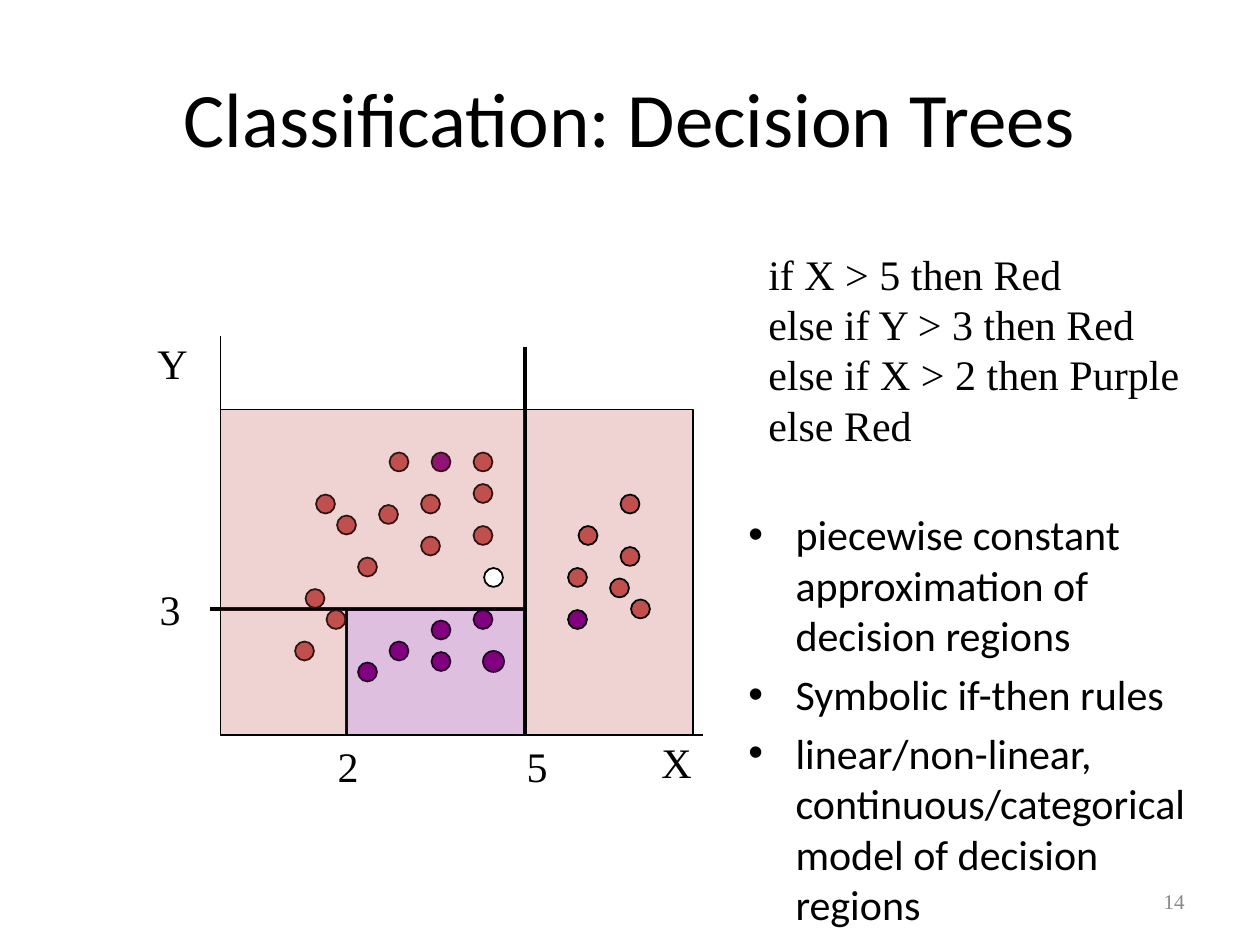
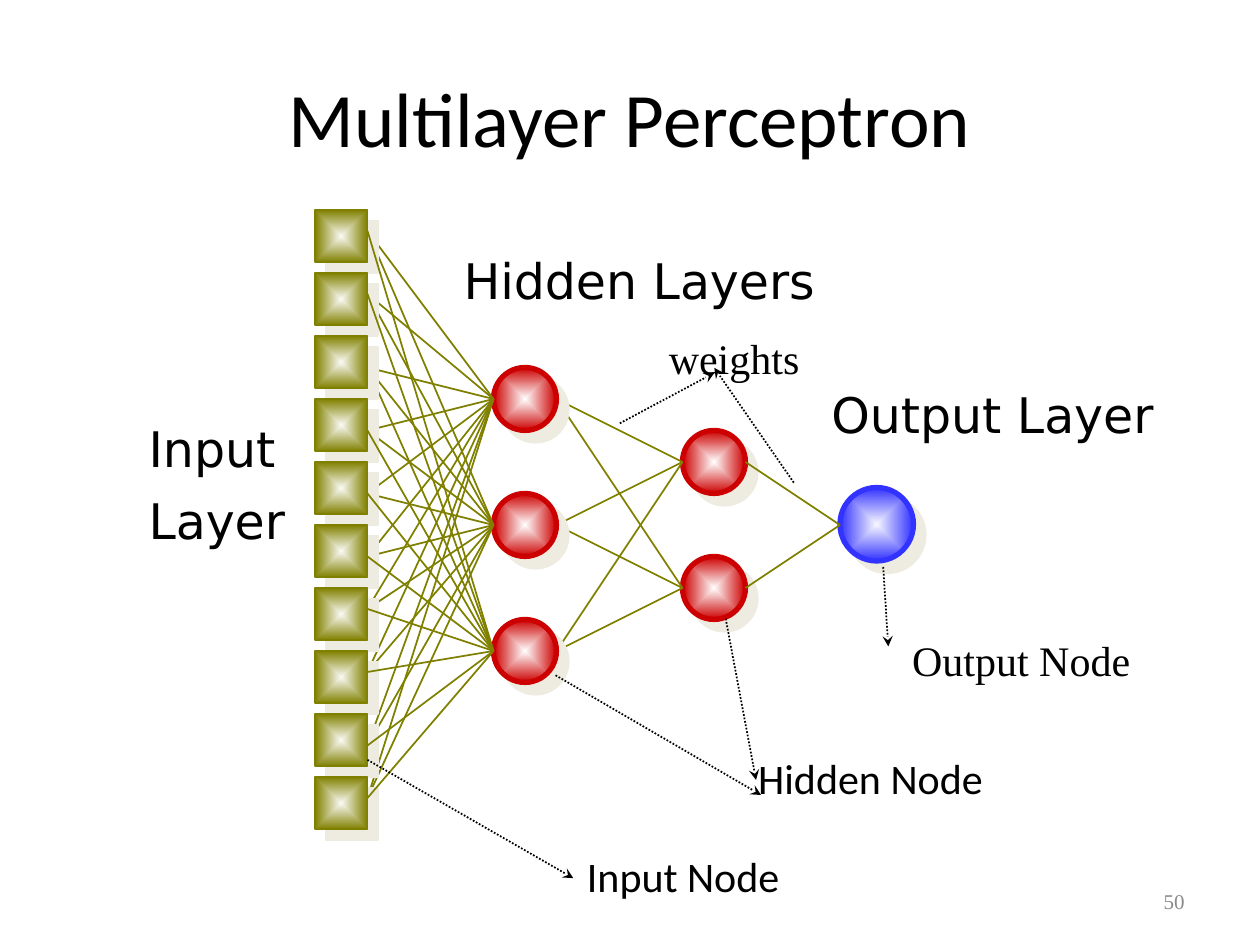
from dataclasses import dataclass
from itertools import product

from pptx import Presentation
from pptx.dml.color import RGBColor
from pptx.enum.dml import MSO_LINE
from pptx.enum.shapes import MSO_CONNECTOR, MSO_SHAPE
from pptx.enum.text import MSO_ANCHOR, PP_ALIGN
from pptx.oxml import parse_xml
from pptx.oxml.ns import nsdecls, qn
from pptx.util import Pt

RECT, OVAL = MSO_SHAPE.RECTANGLE, MSO_SHAPE.OVAL
STRAIGHT = MSO_CONNECTOR.STRAIGHT
DOTTED = MSO_LINE.ROUND_DOT
LEFT, CENTER, RIGHT = PP_ALIGN.LEFT, PP_ALIGN.CENTER, PP_ALIGN.RIGHT
TOP, MIDDLE = MSO_ANCHOR.TOP, MSO_ANCHOR.MIDDLE


@dataclass(frozen=True)
class Theme:
    ink: str = "000000"
    muted: str = "898989"
    white: str = "FFFFFF"
    red: str = "C0504D"
    purple: str = "800080"
    olive: str = "808000"
    olive_glow: str = "FAFAF5"
    hidden: str = "CC0000"
    output: str = "3333FF"
    output_glow: str = "F7F7FF"
    shadow: str = "EEECE1"
    sans: str = "Calibri"
    wide: str = "DejaVu Sans"
    serif: str = "Times New Roman"
    title: int = 44
    layer: int = 28
    body: int = 24
    number: int = 12


THEME = Theme()
GRID = 6
DOT = 10.8

LEFT_RED = [(10, 16), (12, 18), (16, 17), (20, 16), (9, 25), (25, 12), (14, 22),
            (20, 20), (25, 19), (11, 27), (8, 30), (17, 12), (25, 15)]
RIGHT_RED = [(39, 16), (35, 19), (34, 23), (38, 24), (40, 26), (39, 21)]
PURPLE = [(14, 32), (17, 30), (21, 31), (21, 28), (25, 27), (21, 12), (34, 27)]

RULES = "if X > 5 then Red\nelse if Y > 3 then Red\nelse if X > 2 then Purple\nelse Red"
REMARKS = ("piecewise constant approximation of decision regions\n"
           "Symbolic if-then rules\n"
           "linear/non-linear, continuous/categorical model of decision regions")


def rgb(color):
    return RGBColor.from_string(color)


def write(slide, text, box, size=THEME.body, font=THEME.sans, color=THEME.ink,
          align=LEFT, anchor=TOP, wrap=True, space=0, spacing=None, bullet=None):
    frame = slide.shapes.add_textbox(*map(Pt, box)).text_frame
    frame.word_wrap = wrap
    frame.vertical_anchor = anchor
    for index, line in enumerate(text.split("\n")):
        paragraph = frame.add_paragraph() if index else frame.paragraphs[0]
        paragraph.text = line
        paragraph.alignment = align
        if index and space:
            paragraph.space_before = Pt(space)
        if spacing:
            paragraph.line_spacing = spacing
        if bullet:
            properties = paragraph._p.get_or_add_pPr()
            properties.set("marL", str(Pt(27)))
            properties.set("indent", str(-Pt(27)))
            properties.append(parse_xml(f'<a:buFont {nsdecls("a")} typeface="Arial"/>'))
            properties.append(parse_xml(f'<a:buChar {nsdecls("a")} char="{bullet}"/>'))
        paragraph.font.size = Pt(size)
        paragraph.font.name = font
        paragraph.font.color.rgb = rgb(color)


def draw_shape(slide, kind, box, color, outline=THEME.ink, weight=1, alpha=None):
    shape = slide.shapes.add_shape(kind, *map(Pt, box))
    shape.shadow.inherit = False
    shape.fill.solid()
    shape.fill.fore_color.rgb = rgb(color)
    shape.line.color.rgb = rgb(outline)
    shape.line.width = Pt(weight)
    if alpha:
        tint = shape.element.spPr.find(qn("a:solidFill"))[0]
        tint.append(parse_xml(f'<a:alpha {nsdecls("a")} val="{alpha * 1000}"/>'))
    return shape


def draw_node(slide, kind, box, glow, color, weight):
    properties = draw_shape(slide, kind, box, color, color, weight).element.spPr
    properties.replace(properties.find(qn("a:solidFill")), parse_xml(
        f'<a:gradFill {nsdecls("a")} rotWithShape="1"><a:gsLst>'
        f'<a:gs pos="0"><a:srgbClr val="{glow}"/></a:gs>'
        f'<a:gs pos="100000"><a:srgbClr val="{color}"/></a:gs></a:gsLst>'
        '<a:path path="shape"><a:fillToRect l="50000" t="50000" r="50000" b="50000"/>'
        '</a:path></a:gradFill>'))
    properties.find(qn("a:effectLst")).append(parse_xml(
        f'<a:outerShdw {nsdecls("a")} blurRad="0" dist="{Pt(8.5)}" dir="2700000" '
        f'algn="ctr" rotWithShape="0"><a:srgbClr val="{THEME.shadow}"/></a:outerShdw>'))


def draw_line(slide, start, end, color=THEME.ink, weight=1, pointer=False):
    line = slide.shapes.add_connector(STRAIGHT, *map(Pt, (*start, *end)))
    line.line.color.rgb = rgb(color)
    line.line.width = Pt(weight)
    properties = line.element.spPr
    if pointer:
        line.line.dash_style = DOTTED
        properties.find(qn("a:ln")).append(
            parse_xml(f'<a:tailEnd {nsdecls("a")} type="stealth"/>'))
    properties.append(parse_xml(f'<a:effectLst {nsdecls("a")}/>'))


def add_base(deck, title, number):
    slide = deck.slides.add_slide(deck.slide_layouts[6])
    write(slide, title, (36, 21.6, 648, 90), size=THEME.title, align=CENTER, anchor=MIDDLE)
    write(slide, number, (516, 500.4, 168, 28.8), size=THEME.number, font=THEME.serif,
          color=THEME.muted, align=RIGHT, anchor=MIDDLE)
    return slide


def add_region_plot(slide, left, top):
    def at(column, row):
        return left + column * GRID, top + row * GRID

    def dots(cells, color, size=DOT):
        for cell in cells:
            x, y = at(*cell)
            draw_shape(slide, OVAL, (x - size / 2, y - size / 2, size, size), color)

    def region(column, row, columns, rows, color):
        box = (*at(column, row), columns * GRID, rows * GRID)
        draw_shape(slide, RECT, box, color, weight=0.75, alpha=25)

    region(29, 7, 16, 31, THEME.red)
    for end in ((0, 0), (46, 38)):
        draw_line(slide, at(0, 38), at(*end))
    dots(LEFT_RED + RIGHT_RED, THEME.red)
    dots(PURPLE, THEME.purple)
    dots([(26, 31)], THEME.purple, 12)
    for start, end in (((29, 1), (29, 38)), ((29, 26), (-1, 26)), ((12, 26), (12, 38))):
        draw_line(slide, at(*start), at(*end), weight=2)
    region(0, 7, 29, 19, THEME.red)
    region(0, 26, 12, 12, THEME.red)
    region(12, 26, 17, 12, THEME.purple)
    dots([(26, 23)], THEME.white)
    for label, x, y, width in (("X", 244.8, 225.6, 31.7), ("Y", -43.2, -2.6, 31.7),
                               ("5", 167.8, 227.8, 26.6), ("2", 59.8, 227.8, 26.6),
                               ("3", -41.8, 137.8, 26.6)):
        write(slide, label, (left + x, top + y, width, 36), font=THEME.serif, wrap=False)


def add_network(slide, left, top):
    def at(x, y):
        return left + x, top + y

    def connect(pairs):
        for start, end in pairs:
            draw_line(slide, at(*start), at(*end), THEME.olive)

    def hidden_layer(x, tops):
        for y in tops:
            draw_node(slide, OVAL, (*at(x, y), 36, 36), THEME.white, THEME.hidden, 3)

    first_tops = [90 + 72 * row for row in range(3)]
    second_tops = [126 + 72 * row for row in range(2)]
    input_tops = [36 * row for row in range(10)]
    port_drops = (12, 12, 18, 18, 18, 18, 12, 12, 18, 12)
    ports = [(30, y + drop) for y, drop in zip(input_tops, port_drops)]
    first_in = [(102, y + 18) for y in first_tops]
    first_out = [(138, y + 18) for y in first_tops]
    second_in = [(210, y + 18) for y in second_tops]
    second_out = [(246, y + 18) for y in second_tops]

    hidden_layer(210, second_tops)
    connect(product(first_out, second_in))
    hidden_layer(102, first_tops)
    connect(product(ports, first_in[:2]))
    connect([(ports[2], first_in[2])])
    for y in input_tops:
        draw_node(slide, RECT, (*at(0, y), 30, 30), THEME.olive_glow, THEME.olive, 1)
    connect(product(ports[:2] + ports[3:], first_in[2:]))
    draw_node(slide, OVAL, (*at(300, 158.6), 42, 42), THEME.output_glow, THEME.output, 3)
    connect(product(second_out, [(300, 180)]))


def add_network_labels(slide, left, top):
    layers = (("Hidden Layers", 77.8, 19.7, 216, 41), ("Output Layer", 288, 96, 216, 41))
    for text, x, y, width, height in layers:
        write(slide, text, (left + x, top + y, width, height),
              size=THEME.layer, font=THEME.wide)
    write(slide, "Input\nLayer", (left - 102.2, top + 123.4, 102.2, 74.9),
          size=THEME.layer, font=THEME.wide, space=16, spacing=0.75)
    nodes = (("Hidden Node", 246.2, 306.2, 174.2, THEME.sans),
             ("Input Node", 148.3, 362.4, 174.2, THEME.sans),
             ("Output Node", 334.1, 239.3, 140.4, THEME.serif),
             ("weights", 195.1, 66.5, 89.3, THEME.serif))
    for text, x, y, width, font in nodes:
        write(slide, text, (left + x, top + y, width, 36.7), font=font,
              wrap=font == THEME.sans)
    pointers = ((234.7, 233.5, 252, 325.7), (324.7, 204, 327.6, 249.4),
                (137.5, 265.9, 254.9, 334.3), (174.2, 121.9, 228.2, 93.1),
                (273.6, 155.8, 228.2, 90.2), (30, 314.2, 147.6, 381.8))
    for x1, y1, x2, y2 in pointers:
        draw_line(slide, (left + x1, top + y1), (left + x2, top + y2), pointer=True)


def add_decision_trees(deck):
    slide = add_base(deck, "Classification: Decision Trees", "14")
    add_region_plot(slide, 126, 192)
    write(slide, RULES, (432, 138.2, 249.8, 123.8), font=THEME.serif, wrap=False)
    write(slide, REMARKS, (420.5, 287.3, 282.2, 191.5), space=4.8, bullet="•")


def add_perceptron(deck):
    slide = add_base(deck, "Multilayer Perceptron", "50")
    add_network(slide, 180, 120)
    add_network_labels(slide, 180, 120)


def main():
    deck = Presentation()
    deck.slide_width, deck.slide_height = Pt(720), Pt(540)
    add_decision_trees(deck)
    add_perceptron(deck)
    deck.save("out.pptx")


if __name__ == "__main__":
    main()
